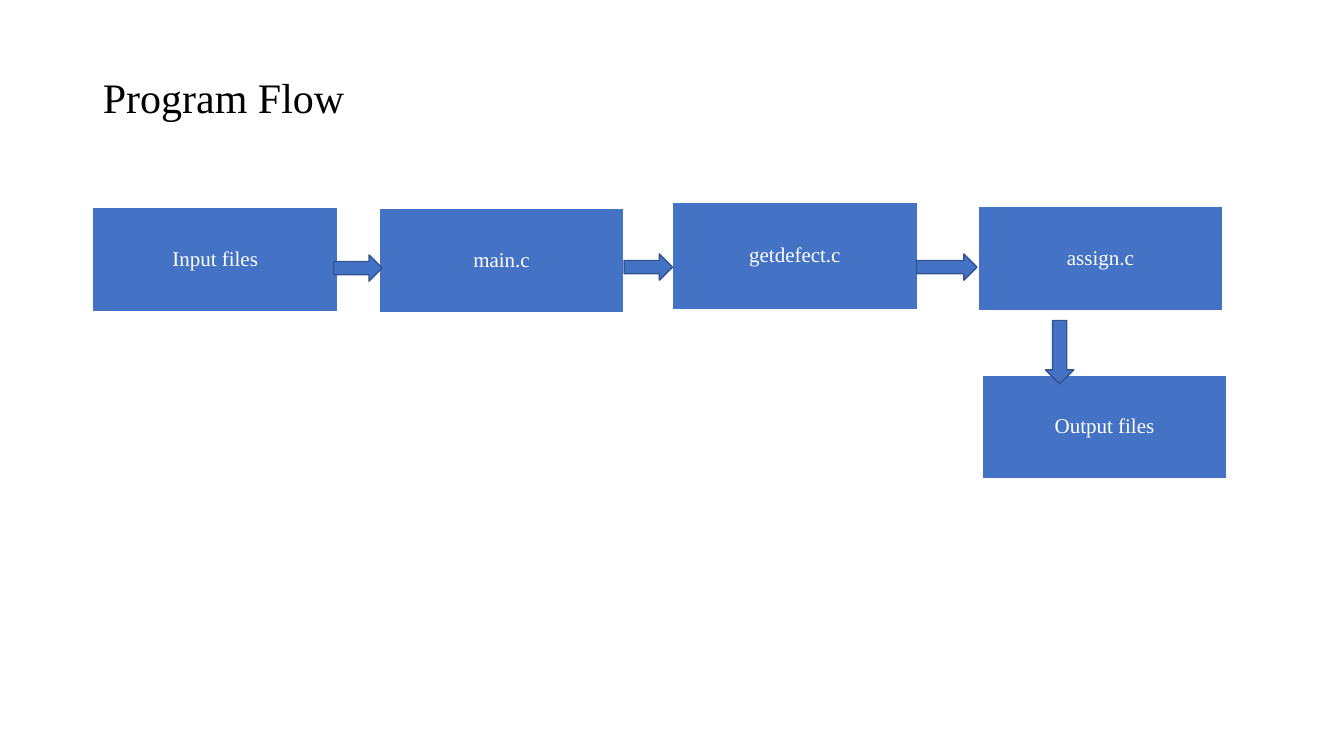
from pptx import Presentation
from pptx.dml.color import RGBColor
from pptx.enum import shapes, text
from pptx.util import Inches, Pt


def write(shape, content, size, color, align, margins):
    frame = shape.text_frame
    frame.word_wrap = True
    frame.auto_size = text.MSO_AUTO_SIZE.NONE
    frame.vertical_anchor = text.MSO_ANCHOR.MIDDLE
    frame.margin_left = frame.margin_right = Inches(margins[0])
    frame.margin_top = frame.margin_bottom = Inches(margins[1])
    paragraph = frame.paragraphs[0]
    paragraph.alignment = align
    paragraph.line_spacing = 0.9
    run = paragraph.add_run()
    run.text = content
    run.font.name = "Times New Roman"
    run.font.size = Pt(size)
    run.font.color.rgb = RGBColor.from_string(color)


def add_block(slide, kind, left, top, width, height, line):
    shape = slide.shapes.add_shape(
        kind, Inches(left), Inches(top), Inches(width), Inches(height))
    shape.shadow.inherit = False
    shape.fill.solid()
    shape.fill.fore_color.rgb = RGBColor.from_string("4472C4")
    shape.line.color.rgb = RGBColor.from_string(line)
    shape.line.width = Pt(1)
    return shape


presentation = Presentation()
presentation.slide_width = Inches(13.33)
presentation.slide_height = Inches(7.5)
slide = presentation.slides.add_slide(presentation.slide_layouts[5])

title = slide.shapes.title
title.left, title.top = Inches(0.92), Inches(0.27)
title.width, title.height = Inches(11.5), Inches(1.45)
write(title, "Program Flow", size=30, color="000000",
      align=text.PP_ALIGN.LEFT, margins=(0.1, 0.05))

steps = [
    ("Input files", 0.92, 2.06, 1.03),
    ("main.c", 3.76, 2.07, 1.03),
    ("getdefect.c", 6.67, 2.01, 1.06),
    ("assign.c", 9.7, 2.05, 1.03),
    ("Output files", 9.74, 3.72, 1.03),
]
for label, left, top, height in steps:
    box = add_block(slide, shapes.MSO_SHAPE.RECTANGLE,
                    left, top, 2.43, height, line="FFFFFF")
    write(box, label, size=15, color="FFFFFF",
          align=text.PP_ALIGN.CENTER, margins=(0.06, 0.06))

arrows = [
    (shapes.MSO_SHAPE.DOWN_ARROW, 10.37, 3.18, 0.28, 0.63),
    (shapes.MSO_SHAPE.RIGHT_ARROW, 3.31, 2.53, 0.48, 0.26),
    (shapes.MSO_SHAPE.RIGHT_ARROW, 6.19, 2.52, 0.48, 0.26),
    (shapes.MSO_SHAPE.RIGHT_ARROW, 9.09, 2.52, 0.6, 0.26),
]
for kind, left, top, width, height in arrows:
    add_block(slide, kind, left, top, width, height, line="325491")

presentation.save("out.pptx")
